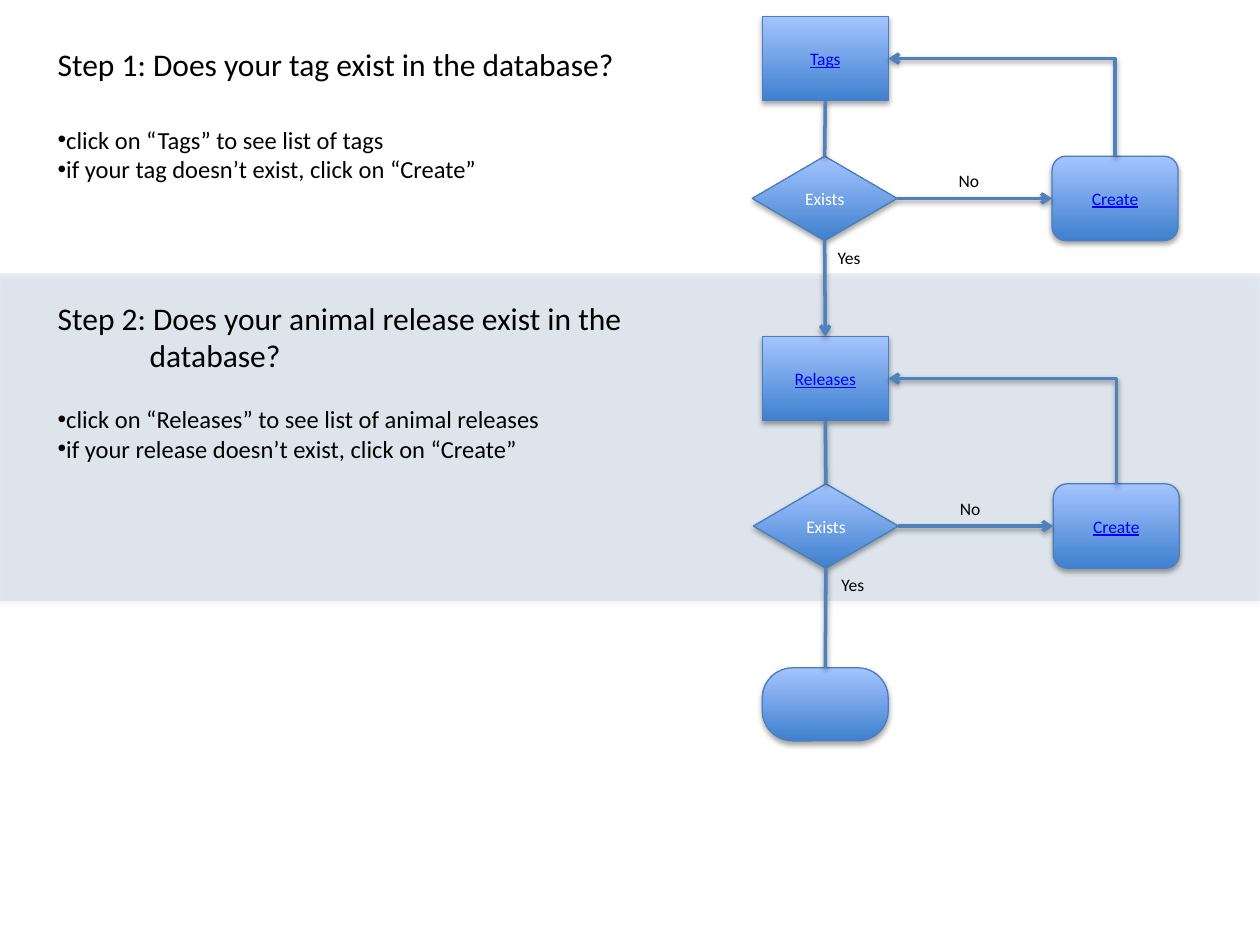
from dataclasses import dataclass

from lxml import etree
from pptx import Presentation
from pptx.dml.color import RGBColor
from pptx.enum.shapes import MSO_CONNECTOR, MSO_SHAPE
from pptx.enum.text import MSO_ANCHOR, MSO_AUTO_SIZE, PP_ALIGN
from pptx.oxml.ns import qn
from pptx.util import Inches, Pt

PROCESS = MSO_SHAPE.FLOWCHART_PROCESS
DECISION = MSO_SHAPE.FLOWCHART_DECISION
ALTERNATE = MSO_SHAPE.FLOWCHART_ALTERNATE_PROCESS
ROUNDED = MSO_SHAPE.ROUNDED_RECTANGLE
RECTANGLE = MSO_SHAPE.RECTANGLE
STRAIGHT = MSO_CONNECTOR.STRAIGHT

FONT = "Calibri"
BLACK, WHITE, LINK = "000000", "FFFFFF", "0000FF"
ACCENT, EDGE, DEEP, PALE = "4F81BD", "4B7EBC", "3F80CE", "A4C4FF"
TOP, BOTTOM, RIGHT, LEFT = 0, 2, 3, 1

SLIDE_W, SLIDE_H = 10, 7.5
TEXT_LEFT = 0.36
FLOW_LEFT, CREATE_LEFT = 6.05, 8.35
NODE_W, NODE_H, DECISION_W = 1, 0.67, 1.15


@dataclass(frozen=True)
class Step:
    """One question of the guide with its part of the flow."""
    heading: tuple[str, ...]
    hints: tuple[str, ...]
    heading_top: float
    heading_width: float
    hints_top: float
    record: str
    record_top: float
    decision_top: float
    nudge: float
    yes_left: float


STEPS = (
    Step(("Step 1: Does your tag exist in the database?",),
         ("click on “Tags” to see list of tags",
          "if your tag doesn’t exist, click on “Create”"),
         0.31, 4.66, 0.94, "Tags", 0.13, 1.24, 0, 6.55),
    Step(("Step 2: Does your animal release exist in the", "database?"),
         ("click on “Releases” to see list of animal releases",
          "if your release doesn’t exist, click on “Create”"),
         2.32, 4.72, 3.16, "Releases", 2.67, 3.84, 0.01, 6.58),
)

prs = Presentation()
prs.slide_width, prs.slide_height = Inches(SLIDE_W), Inches(SLIDE_H)
slide = prs.slides.add_slide(prs.slide_layouts[6])


def color(value: str) -> RGBColor:
    """Turn a hex string into a colour."""
    return RGBColor.from_string(value)


def add_shadow(shape, opacity: int, distance: float) -> None:
    """Cast a soft shadow straight down."""
    effects = etree.SubElement(shape._element.spPr, qn("a:effectLst"))
    outer = etree.SubElement(effects, qn("a:outerShdw"), blurRad=str(Pt(3.1)),
                             dist=str(Pt(distance)), dir="5400000", rotWithShape="0")
    black = etree.SubElement(outer, qn("a:srgbClr"), val=BLACK)
    etree.SubElement(black, qn("a:alpha"), val=str(opacity * 1000))


def add_run(paragraph, text: str, size: float, ink: str, underline: bool = False) -> None:
    """Append one formatted run."""
    run = paragraph.add_run()
    run.text = text
    run.font.name, run.font.size = FONT, Pt(size)
    run.font.color.rgb = color(ink)
    if underline:
        run.font.underline = True


def add_band(top: float, height: float) -> None:
    """Tint the full-width strip behind a step."""
    band = slide.shapes.add_shape(RECTANGLE, 0, Inches(top), Inches(SLIDE_W), Inches(height))
    band.fill.solid()
    band.fill.fore_color.rgb = color(ACCENT)
    tint = band._element.spPr.find(qn("a:solidFill"))[0]
    etree.SubElement(tint, qn("a:alpha"), val="13000")
    band.line.fill.background()
    add_shadow(band, 35, 1.8)


def add_node(kind, left: float, top: float, width: float = NODE_W, height: float = NODE_H,
             label: str = "", ink: str = LINK):
    """Draw one gradient flow node, its label underlined when it is a link."""
    node = slide.shapes.add_shape(kind, Inches(left), Inches(top), Inches(width), Inches(height))
    node.fill.gradient()
    node.fill.gradient_angle = 90
    for stop, shade in zip(node.fill.gradient_stops, (DEEP, PALE)):
        stop.color.rgb = color(shade)
    node.line.color.rgb = color(EDGE)
    node.line.width = Pt(0.75)
    add_shadow(node, 35, 1.8)
    if label:
        node.text_frame.vertical_anchor = MSO_ANCHOR.MIDDLE
        paragraph = node.text_frame.paragraphs[0]
        paragraph.alignment = PP_ALIGN.CENTER
        add_run(paragraph, label, 10, ink, ink == LINK)
    return node


def style_line(line, arrow: bool) -> None:
    """Give a connector its colour, weight, shadow and arrowhead."""
    line.line.color.rgb = color(ACCENT)
    line.line.width = Pt(2)
    if arrow:
        etree.SubElement(line._element.spPr.find(qn("a:ln")), qn("a:tailEnd"), type="arrow")
    add_shadow(line, 38, 1.6)


def link(start, start_site: int, end, end_site: int, arrow: bool = False) -> None:
    """Join two nodes with a straight connector."""
    line = slide.shapes.add_connector(STRAIGHT, 0, 0, 0, 0)
    line.begin_connect(start, start_site)
    line.end_connect(end, end_site)
    style_line(line, arrow)


def link_back(start, end) -> None:
    """Lead from the top of one node up and left to the side of another."""
    x1, y1 = start.left + start.width // 2, start.top
    x2, y2 = end.left + end.width, end.top + end.height // 2
    center_x, center_y = (x1 + x2) // 2, (y1 + y2) // 2
    half_rise, half_run = (y1 - y2) // 2, (x1 - x2) // 2
    # The one-bend preset is laid out unrotated, then turned by 270 degrees.
    line = slide.shapes.add_connector(STRAIGHT, center_x - half_rise, center_y + half_run,
                                      center_x + half_rise, center_y - half_run)
    properties = line._element.spPr
    properties.find(qn("a:xfrm")).set("rot", str(270 * 60000))
    properties.find(qn("a:prstGeom")).set("prst", "bentConnector2")
    style_line(line, True)


def add_text(left: float, top: float, width: float, height: float, lines: tuple[str, ...],
             size: float, bullets: bool = False, hanging: float = 0) -> None:
    """Place lines of text, bulleted or with later lines indented."""
    box = slide.shapes.add_textbox(Inches(left), Inches(top), Inches(width), Inches(height))
    frame = box.text_frame
    frame.word_wrap = False
    frame.auto_size = MSO_AUTO_SIZE.SHAPE_TO_FIT_TEXT
    for index, text in enumerate(lines):
        paragraph = frame.add_paragraph() if index else frame.paragraphs[0]
        properties = paragraph._p.get_or_add_pPr()
        if bullets:
            etree.SubElement(properties, qn("a:buFont"), typeface="Arial")
            etree.SubElement(properties, qn("a:buChar"), char="•")
        elif index:
            properties.set("marL", str(Inches(hanging)))
        add_run(paragraph, text, size, BLACK)


def add_step(step: Step):
    """Draw a step's wording and flow, and return its record and decision nodes."""
    add_text(TEXT_LEFT, step.heading_top, step.heading_width, 0.4 + 0.31 * (len(step.heading) - 1),
             step.heading, 18, hanging=0.73)
    add_text(TEXT_LEFT, step.hints_top, 4.04 if step.nudge else 3.54, 0.57,
             step.hints, 14, bullets=True)
    record = add_node(PROCESS, FLOW_LEFT, step.record_top, label=step.record)
    decision = add_node(DECISION, 5.97 + step.nudge, step.decision_top, DECISION_W,
                        label="Exists", ink=WHITE)
    create = add_node(ALTERNATE, CREATE_LEFT + step.nudge, step.decision_top, label="Create")
    link(record, BOTTOM, decision, TOP)
    link(decision, RIGHT, create, LEFT, arrow=True)
    link_back(create, record)
    add_text(7.51 + step.nudge, step.decision_top + 0.06, 0.37, 0.27, ("No",), 10)
    add_text(step.yes_left, step.decision_top + NODE_H, 0.38, 0.27, ("Yes",), 10)
    return record, decision


add_band(2.17, 2.6)
(_, tag_exists), (releases, release_exists) = [add_step(step) for step in STEPS]
finish = add_node(ROUNDED, FLOW_LEFT, 5.3, height=0.58)
finish.adjustments[0] = 0.417
link(tag_exists, BOTTOM, releases, TOP, arrow=True)
link(release_exists, BOTTOM, finish, TOP)

prs.save("out.pptx")
